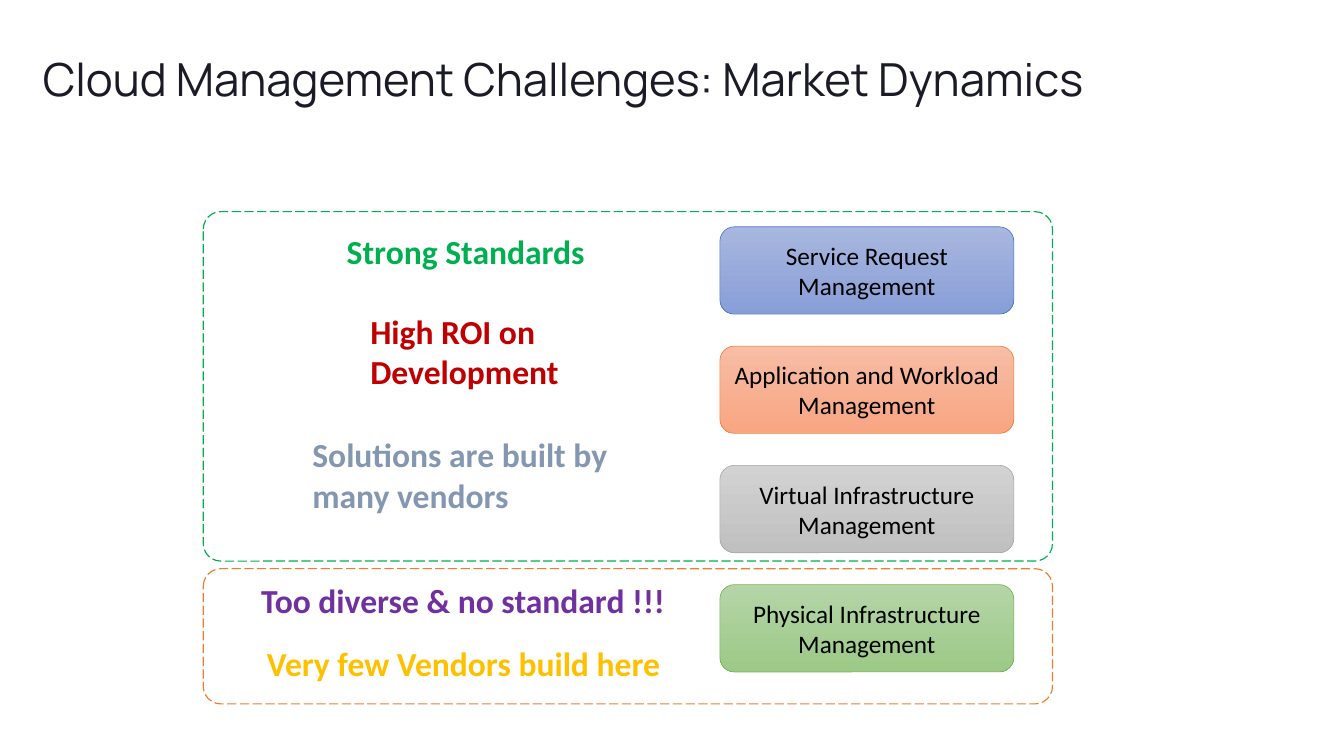
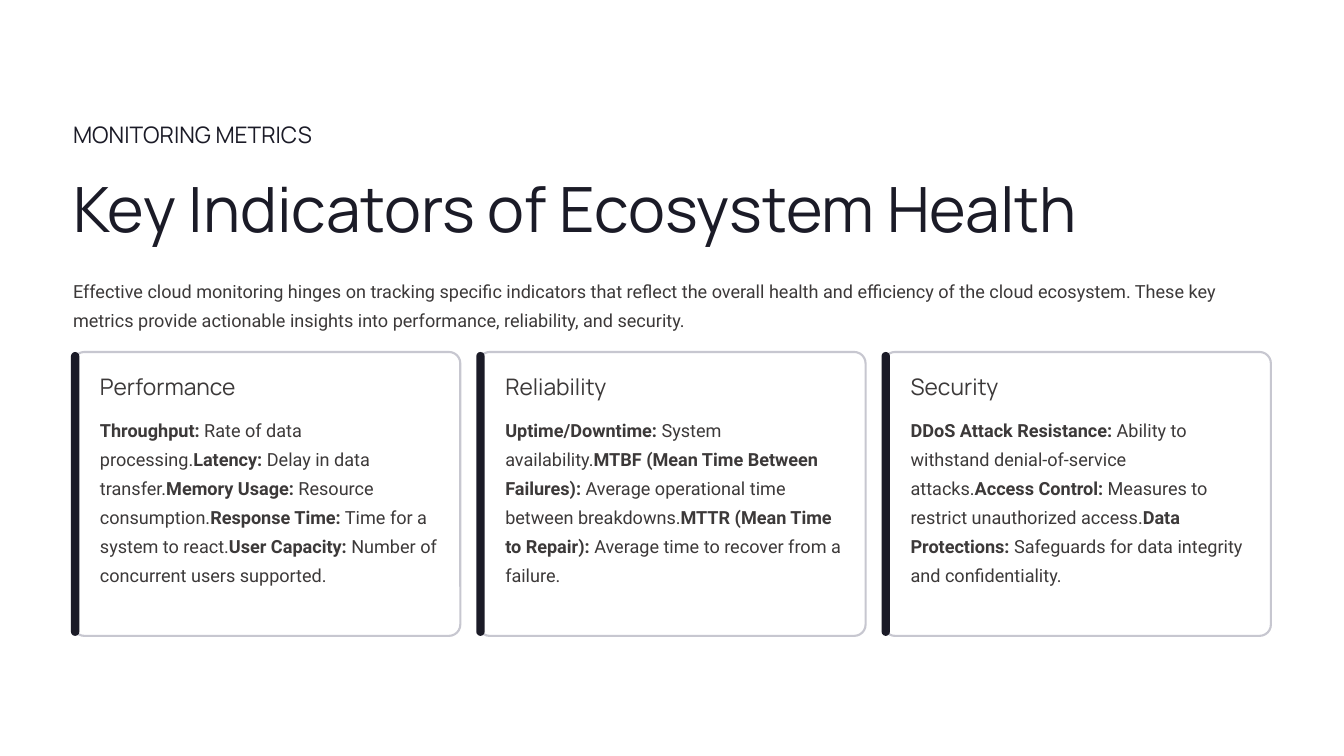
from dataclasses import dataclass

from lxml.etree import SubElement
from pptx import Presentation
from pptx.dml.color import RGBColor
from pptx.enum.dml import MSO_LINE
from pptx.enum.shapes import MSO_SHAPE
from pptx.enum.text import MSO_ANCHOR, MSO_AUTO_SIZE, PP_ALIGN
from pptx.oxml.ns import qn
from pptx.util import Inches, Pt

COLUMNS, ROWS = 160, 90
TITLE_ONLY = 5


@dataclass(frozen=True)
class TextStyle:
    font: str
    size: float
    color: str
    leading: float = None
    bold: bool = False
    align: PP_ALIGN = PP_ALIGN.LEFT


@dataclass(frozen=True)
class Theme:
    ink: str = "1B1B27"
    body: str = "3C3939"
    black: str = "000000"
    card_fill: str = "FFFFFF"
    card_edge: str = "C7C7D0"
    standard: str = "00B050"
    diverse: str = "ED7D31"
    heading_font: str = "Manrope"
    body_font: str = "Roboto"
    diagram_font: str = "Calibri"

    def title(self, size, leading):
        return TextStyle(self.heading_font, size, self.ink, leading)

    def heading(self, color):
        return TextStyle(self.heading_font, 19.5, color, 24)

    def prose(self):
        return TextStyle(self.body_font, 15.5, self.body, 25)

    def layer(self):
        return TextStyle(self.diagram_font, 21.6, self.black, align=PP_ALIGN.CENTER)

    def remark(self, color):
        return TextStyle(self.diagram_font, 28.8, color, bold=True)


def set_all(target, values):
    for name, value in values.items():
        setattr(target, name, value)


class Deck:
    """Draws on the current slide; boxes are (column, row, columns, rows)."""

    def __init__(self, theme):
        self.theme = theme
        self.show = Presentation()
        self.show.slide_width, self.show.slide_height = Inches(16), Inches(9)
        self.slide = None

    def place(self, box):
        across = self.show.slide_width / COLUMNS
        down = self.show.slide_height / ROWS
        return [round(n * unit) for n, unit in zip(box, (across, down) * 2)]

    def new_slide(self, title, box, style):
        self.slide = self.show.slides.add_slide(self.show.slide_layouts[TITLE_ONLY])
        holder = self.slide.shapes.title
        set_all(holder, dict(zip(("left", "top", "width", "height"), self.place(box))))
        self.typeset_flush(holder.text_frame, [[(title, False)]], style)

    def typeset(self, frame, paragraphs, style):
        """Fill a frame with paragraphs, each a list of (wording, bold) runs."""
        for index, runs in enumerate(paragraphs):
            paragraph = frame.add_paragraph() if index else frame.paragraphs[0]
            paragraph.alignment = style.align
            if style.leading:
                paragraph.line_spacing = Pt(style.leading)
            for wording, bold in runs:
                run = paragraph.add_run()
                run.text = wording
                set_all(run.font, {"name": style.font, "size": Pt(style.size), "bold": bold})
                run.font.color.rgb = RGBColor.from_string(style.color)

    def typeset_flush(self, frame, paragraphs, style):
        set_all(frame, {
            "margin_left": 0, "margin_top": 0, "margin_right": 0, "margin_bottom": 0,
            "word_wrap": True, "auto_size": MSO_AUTO_SIZE.NONE,
            "vertical_anchor": MSO_ANCHOR.TOP,
        })
        self.typeset(frame, paragraphs, style)

    def text(self, box, runs, style):
        label = self.slide.shapes.add_textbox(*self.place(box))
        self.typeset_flush(label.text_frame, [runs], style)

    def remark(self, box, lines, color):
        frame = self.slide.shapes.add_textbox(*self.place(box)).text_frame
        set_all(frame, {"word_wrap": False, "auto_size": MSO_AUTO_SIZE.SHAPE_TO_FIT_TEXT})
        style = self.theme.remark(color)
        self.typeset(frame, [[(line, style.bold)] for line in lines], style)

    def panel(self, box, rounding=None, edge=None, weight=1.0):
        """Add an unfilled rounded rectangle."""
        panel = self.slide.shapes.add_shape(MSO_SHAPE.ROUNDED_RECTANGLE, *self.place(box))
        panel.shadow.inherit = False
        panel.fill.background()
        if rounding is not None:
            panel.adjustments[0] = rounding
        if edge:
            panel.line.color.rgb = RGBColor.from_string(edge)
            panel.line.width = Pt(weight)
        else:
            panel.line.fill.background()
        return panel

    def frame(self, box, rounding, edge):
        self.panel(box, rounding, edge).line.dash_style = MSO_LINE.LONG_DASH

    def layer(self, box, wording, shades, edge):
        layer = self.panel(box, edge=edge, weight=0.5)
        layer.fill.gradient()
        layer.fill.gradient_angle = 270
        for stop, shade in zip(layer.fill.gradient_stops, shades):
            stop.color.rgb = RGBColor.from_string(shade)
        set_all(layer.text_frame, {"word_wrap": True, "vertical_anchor": MSO_ANCHOR.MIDDLE})
        self.typeset(layer.text_frame, [[(wording, False)]], self.theme.layer())

    def filled(self, box, rounding, color, edge=None, weight=1.0, opacity=None):
        panel = self.panel(box, rounding, edge, weight)
        panel.fill.solid()
        panel.fill.fore_color.rgb = RGBColor.from_string(color)
        if opacity:
            tint = panel.element.spPr.find(qn("a:solidFill"))[0]
            SubElement(tint, qn("a:alpha")).set("val", str(opacity * 1000))

    def card(self, column, heading, entries):
        theme, top, height = self.theme, 41.9, 33.8
        self.filled((column, top, 46.1, height), 0.04, theme.card_fill,
                    theme.card_edge, 1.8, 95)
        self.filled((column - 0.25, top, 1, height), 0.5, theme.ink)
        inner = column + 3.2
        self.text((inner, top + 2.4, 27.1, 3.4), [(heading, False)], theme.heading(theme.body))
        runs = [run for term, meaning in entries
                for run in ((term + ":", True), (" " + meaning, False))]
        self.text((inner, top + 7.1, 40.5, 24.3), runs, theme.prose())


LAYERS = [
    ("Service Request Management", ("A8B7DF", "889ED7"), "4472C4"),
    ("Application and Workload Management", ("F7BDA5", "F8A582"), "ED7D31"),
    ("Virtual Infrastructure Management", ("D2D2D2", "C0C0C0"), "A5A5A5"),
    ("Physical Infrastructure Management", ("B5D5A7", "9CC987"), "70AD47"),
]

REMARKS = [
    ((40.3, 27, 30.7, 5.9), ["Strong Standards"], "00B050"),
    ((43.1, 36.5, 24.7, 10.7), ["High ROI on", "Development"], "C00000"),
    ((36.2, 51.2, 38.5, 10.7), ["Solutions are built by", "many vendors"], "8497B0"),
    ((30.1, 68.5, 50.7, 5.9), ["Too diverse & no standard !!!"], "7030A0"),
    ((30.8, 76.1, 49.4, 5.9), ["Very few Vendors build here"], "FFC000"),
]

METRICS = {
    "Performance": [
        ("Throughput", "Rate of data processing."),
        ("Latency", "Delay in data transfer."),
        ("Memory Usage", "Resource consumption."),
        ("Response Time", "Time for a system to react."),
        ("User Capacity", "Number of concurrent users supported."),
    ],
    "Reliability": [
        ("Uptime/Downtime", "System availability."),
        ("MTBF (Mean Time Between Failures)", "Average operational time between breakdowns."),
        ("MTTR (Mean Time to Repair)", "Average time to recover from a failure."),
    ],
    "Security": [
        ("DDoS Attack Resistance", "Ability to withstand denial-of-service attacks."),
        ("Access Control", "Measures to restrict unauthorized access."),
        ("Data Protections", "Safeguards for data integrity and confidentiality."),
    ],
}


def market_dynamics(deck):
    deck.new_slide("Cloud Management Challenges: Market Dynamics",
                   (5.1, 5.8, 127, 6.8), deck.theme.title(39, 48.5))
    for index, (wording, shades, edge) in enumerate(LAYERS):
        deck.layer((85.7, 27 + 14.2 * index, 35, 10.4), wording, shades, edge)
    deck.frame((24.2, 25.2, 101.1, 41.6), 0.05, deck.theme.standard)
    deck.frame((24.2, 67.7, 101.1, 16.1), 0.13, deck.theme.diverse)
    for box, lines, color in REMARKS:
        deck.remark(box, lines, color)


def ecosystem_health(deck):
    theme, margin = deck.theme, 8.7
    deck.new_slide("Key Indicators of Ecosystem Health",
                   (margin, 19.9, 125, 9.4), theme.title(53.5, 67))
    deck.text((margin, 14.3, 32, 3.4), [("MONITORING METRICS", False)], theme.heading(theme.ink))
    introduction = (
        "Effective cloud monitoring hinges on tracking specific indicators that reflect "
        "the overall health and efficiency of the cloud ecosystem. These key metrics "
        "provide actionable insights into performance, reliability, and security."
    )
    deck.text((margin, 32.5, 142.6, 6.9), [(introduction, False)], theme.prose())
    for index, (heading, entries) in enumerate(METRICS.items()):
        deck.card(margin + 48.25 * index, heading, entries)


def main():
    deck = Deck(Theme())
    market_dynamics(deck)
    ecosystem_health(deck)
    deck.show.save("out.pptx")


if __name__ == "__main__":
    main()
